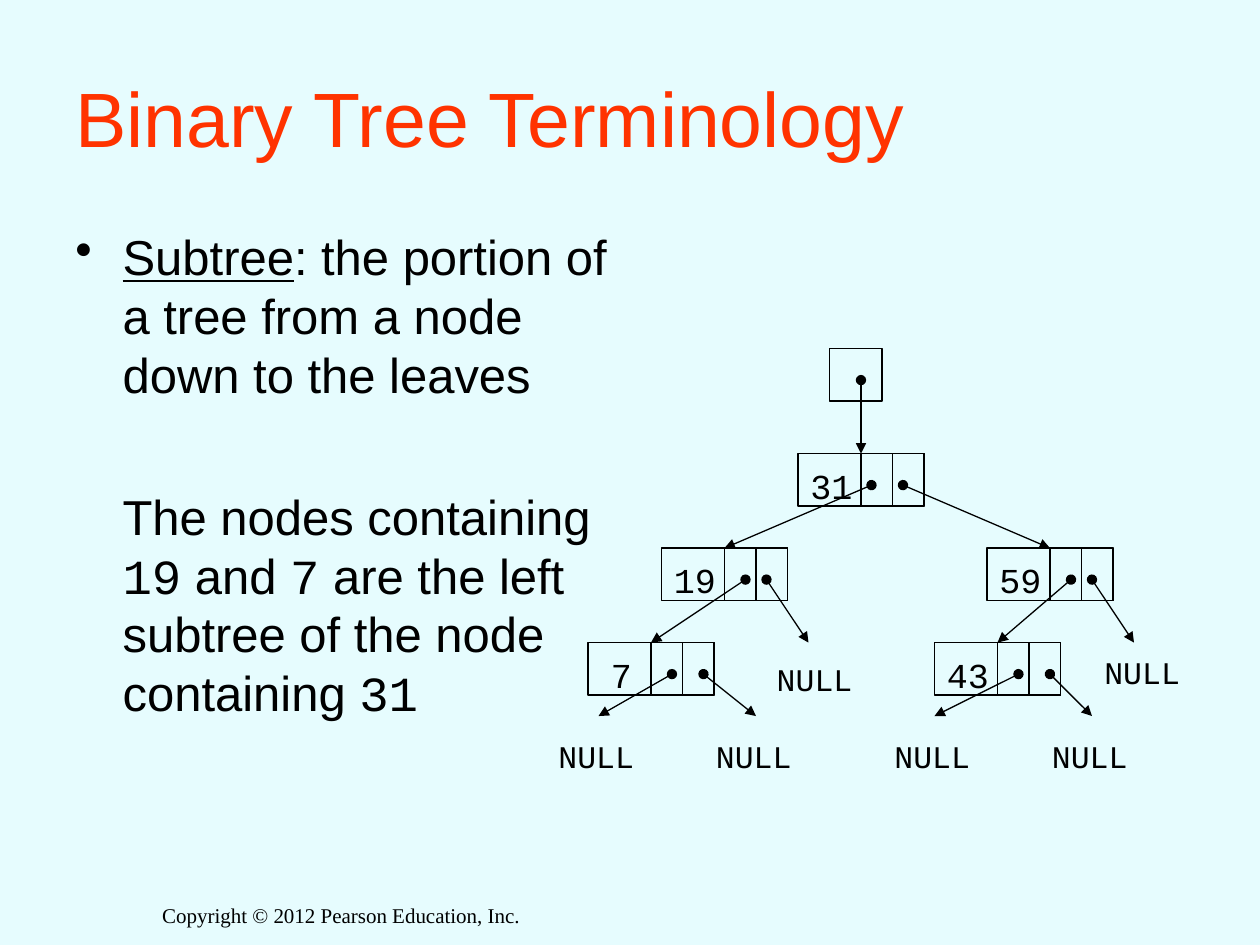
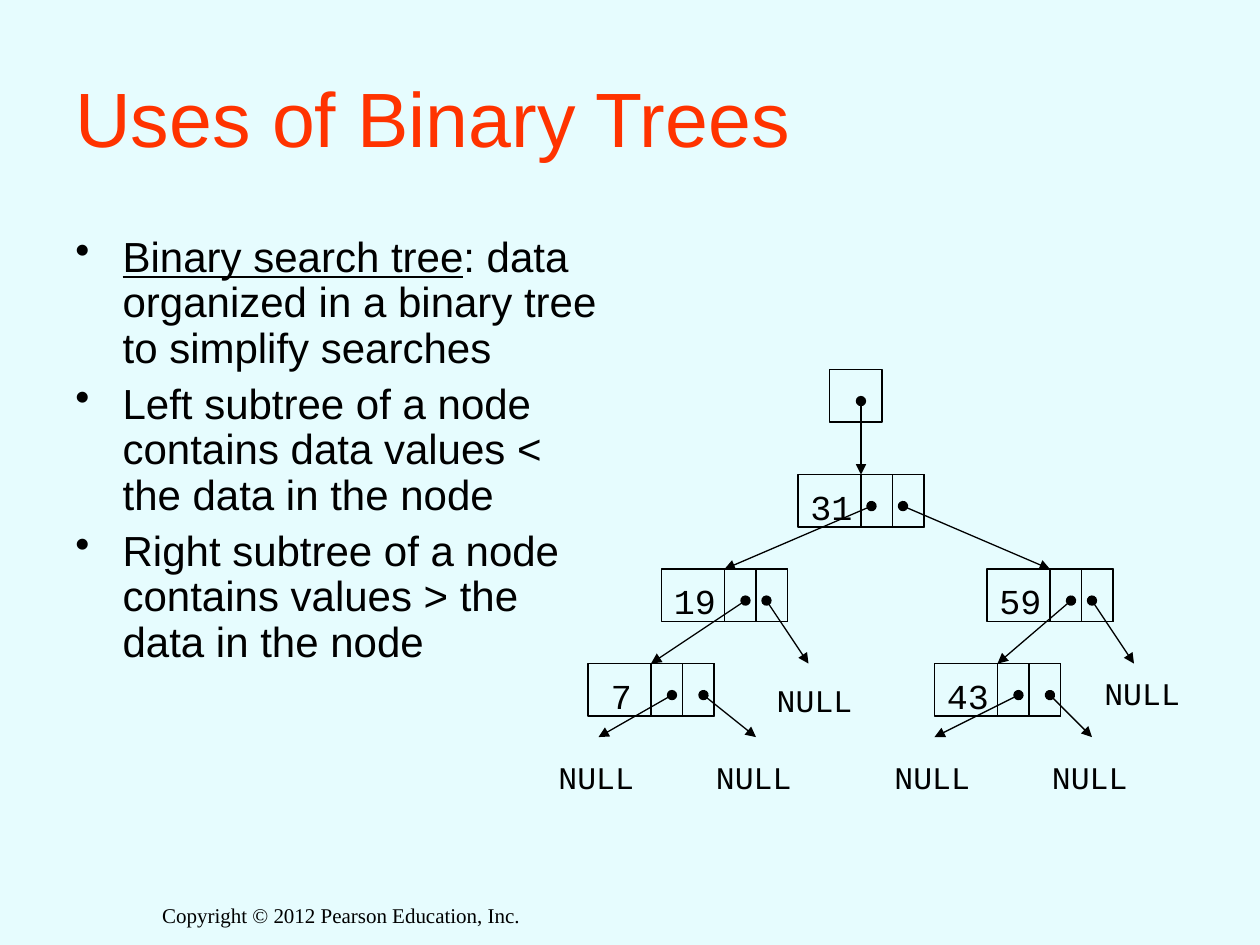
from dataclasses import dataclass

from lxml import etree
from pptx import Presentation
from pptx.dml.color import RGBColor
from pptx.enum.shapes import MSO_CONNECTOR, MSO_SHAPE
from pptx.enum.text import MSO_ANCHOR, PP_ALIGN
from pptx.oxml.ns import qn
from pptx.util import Emu, Pt

RECTANGLE = MSO_SHAPE.RECTANGLE
STRAIGHT = MSO_CONNECTOR.STRAIGHT
TOP, MIDDLE = MSO_ANCHOR.TOP, MSO_ANCHOR.MIDDLE
LEFT, CENTER = PP_ALIGN.LEFT, PP_ALIGN.CENTER

PX_PER_INCH = 120
PX = 914400 // PX_PER_INCH


@dataclass(frozen=True)
class Theme:
    background: RGBColor = RGBColor.from_string("E6FCFE")
    title: RGBColor = RGBColor.from_string("FF3300")
    ink: RGBColor = RGBColor.from_string("000000")
    sans: str = "Arial"
    mono: str = "Courier New"
    serif: str = "Times New Roman"
    title_size: int = 44
    value_size: int = 20
    null_size: int = 18
    footer_size: int = 12
    line_width: float = 0.75
    leading: float = 1.2
    mono_leading: float = 1.33


THEME = Theme()


@dataclass(frozen=True)
class Box:
    left: int
    top: int
    width: int
    height: int


@dataclass(frozen=True)
class Span:
    text: str
    font: str = THEME.sans
    underline: bool = False


@dataclass(frozen=True)
class Paragraph:
    spans: tuple[Span, ...]
    bullet: bool = False
    space_before: float = 0


@dataclass(frozen=True)
class TextStyle:
    size: int
    line_height: float
    color: RGBColor = THEME.ink
    align: PP_ALIGN = LEFT
    anchor: MSO_ANCHOR = TOP
    wrap: bool = True
    indent: int = 0


@dataclass(frozen=True)
class Link:
    start: int
    left: int
    top: int
    null_shift: tuple[int, int] | None = None


@dataclass(frozen=True)
class Node:
    value: str
    left: int
    top: int
    links: tuple[Link, Link]


@dataclass(frozen=True)
class Lesson:
    title: str
    body: Box
    style: TextStyle
    paragraphs: tuple[Paragraph, ...]
    tree_shift: int


TITLE_BOX = Box(60, 36, 1080, 150)
FOOTER_BOX = Box(130, 854, 390, 73)
FOOTER = "Copyright © 2012 Pearson Education, Inc."
BODY_INDENT = 45

TITLE_STYLE = TextStyle(THEME.title_size, THEME.title_size * THEME.leading,
                        color=THEME.title, anchor=MIDDLE)
FOOTER_STYLE = TextStyle(THEME.footer_size, THEME.footer_size * THEME.leading,
                         align=CENTER)
VALUE_STYLE = TextStyle(THEME.value_size, THEME.value_size * THEME.mono_leading,
                        wrap=False)
NULL_STYLE = TextStyle(THEME.null_size, THEME.null_size * THEME.mono_leading,
                       wrap=False)

NODE_WIDTH, NODE_HEIGHT = 120, 50
POINTER_WIDTH = 30
POINTER_OFFSETS = (90, 60)
DOT_DROP = 30
ROOT = Box(790, 332, 50, 50)
ROWS = (432, 522, 612)
LEAF_END = 682
LEAF_NULL = (-50, 10)

NODES = (
    Node("31", 760, ROWS[0], (Link(70, 690, ROWS[1]), Link(100, 1000, ROWS[1]))),
    Node("59", 940, ROWS[1], (Link(80, 950, ROWS[2]),
                              Link(100, 1080, ROWS[2], (-40, 0)))),
    Node("19", 630, ROWS[1], (Link(80, 620, ROWS[2]),
                              Link(100, 770, ROWS[2], (-42, 7)))),
    Node("7", 560, ROWS[2], (Link(80, 570, LEAF_END, LEAF_NULL),
                             Link(110, 720, LEAF_END, LEAF_NULL))),
    Node("43", 890, ROWS[2], (Link(80, 890, LEAF_END, LEAF_NULL),
                              Link(110, 1040, LEAF_END, LEAF_NULL))),
)

LESSONS = (
    Lesson(
        "Binary Tree Terminology",
        Box(60, 210, 545, 540),
        TextStyle(28, 33.6, indent=BODY_INDENT),
        (
            Paragraph((Span("Subtree", underline=True),
                       Span(": the portion of a tree from a node down to the leaves")),
                      bullet=True),
            Paragraph((Span("The nodes containing "), Span("19", THEME.mono),
                       Span(" and "), Span("7", THEME.mono),
                       Span(" are the left subtree of the node containing "),
                       Span("31", THEME.mono)), space_before=47.6),
        ),
        0,
    ),
    Lesson(
        "Uses of Binary Trees",
        Box(60, 218, 530, 522),
        TextStyle(24, 26, indent=BODY_INDENT),
        (
            Paragraph((Span("Binary search tree", underline=True),
                       Span(": data organized in a binary tree to simplify searches")),
                      bullet=True),
            Paragraph((Span("Left subtree of a node contains data values < "
                            "the data in the node"),), bullet=True, space_before=6),
            Paragraph((Span("Right subtree of a node contains values > "
                            "the data in the node"),), bullet=True, space_before=6),
        ),
        20,
    ),
)


def place(box: Box) -> tuple[Emu, ...]:
    return tuple(Emu(length * PX)
                 for length in (box.left, box.top, box.width, box.height))


def set_indent(paragraph, indent: int, bullet: bool) -> None:
    properties = paragraph._p.get_or_add_pPr()
    properties.set("marL", str(indent * PX))
    properties.set("indent", str(-indent * PX if bullet else 0))
    if bullet:
        etree.SubElement(properties, qn("a:buChar")).set("char", "•")


def add_text(shapes, box: Box, paragraphs: tuple[Paragraph, ...],
             style: TextStyle) -> None:
    frame = shapes.add_textbox(*place(box)).text_frame
    frame.word_wrap = style.wrap
    frame.vertical_anchor = style.anchor
    for index, content in enumerate(paragraphs):
        paragraph = frame.add_paragraph() if index else frame.paragraphs[0]
        if style.indent:
            set_indent(paragraph, style.indent, content.bullet)
        paragraph.alignment = style.align
        paragraph.line_spacing = Pt(style.line_height)
        if index:
            paragraph.space_before = Pt(content.space_before)
        for span in content.spans:
            run = paragraph.add_run()
            run.text = span.text
            run.font.name = span.font
            run.font.size = Pt(style.size)
            run.font.color.rgb = style.color
            if span.underline:
                run.font.underline = True


def add_label(shapes, box: Box, text: str, font: str, style: TextStyle) -> None:
    add_text(shapes, box, (Paragraph((Span(text, font),)),), style)


def add_cell(shapes, box: Box) -> None:
    shape = shapes.add_shape(RECTANGLE, *place(box))
    shape.shadow.inherit = False
    shape.fill.background()
    shape.line.color.rgb = THEME.ink
    shape.line.width = Pt(THEME.line_width)


def add_pointer(shapes, start: tuple[int, int], end: tuple[int, int]) -> None:
    connector = shapes.add_connector(
        STRAIGHT, *(Emu(length * PX) for length in start + end))
    connector.line.color.rgb = THEME.ink
    connector.line.width = Pt(THEME.line_width)
    line = connector.line._get_or_add_ln()
    for tag, kind in (("a:headEnd", "oval"), ("a:tailEnd", "triangle")):
        etree.SubElement(line, qn(tag)).set("type", kind)
    etree.SubElement(connector._element.spPr, qn("a:effectLst"))


def add_node(shapes, node: Node, shift: int) -> None:
    top = node.top + shift
    add_cell(shapes, Box(node.left, top, NODE_WIDTH, NODE_HEIGHT))
    for offset in POINTER_OFFSETS:
        add_cell(shapes, Box(node.left + offset, top, POINTER_WIDTH, NODE_HEIGHT))
    width = 20 * len(node.value) + 24
    label_left = node.left + (64 - width) // 2
    add_label(shapes, Box(label_left, top, width, 53), node.value,
              THEME.mono, VALUE_STYLE)


def add_link(shapes, node: Node, link: Link, shift: int) -> None:
    end_top = link.top + shift
    add_pointer(shapes, (node.left + link.start, node.top + DOT_DROP + shift),
                (link.left, end_top))
    if link.null_shift:
        right, down = link.null_shift
        add_label(shapes, Box(link.left + right, end_top + down, 96, 48),
                  "NULL", THEME.mono, NULL_STYLE)


def add_tree(slide, shift: int) -> None:
    shapes = slide.shapes.add_group_shape().shapes
    root_top = ROOT.top + shift
    add_cell(shapes, Box(ROOT.left, root_top, ROOT.width, ROOT.height))
    root_dot = ROOT.left + DOT_DROP
    for node in NODES:
        add_node(shapes, node, shift)
    add_pointer(shapes, (root_dot, root_top + DOT_DROP), (root_dot, ROWS[0] + shift))
    for node in NODES:
        for link in node.links:
            add_link(shapes, node, link, shift)


def add_lesson(presentation, lesson: Lesson) -> None:
    slide = presentation.slides.add_slide(presentation.slide_layouts[6])
    slide.background.fill.solid()
    slide.background.fill.fore_color.rgb = THEME.background
    add_label(slide.shapes, FOOTER_BOX, FOOTER, THEME.serif, FOOTER_STYLE)
    add_label(slide.shapes, TITLE_BOX, lesson.title, THEME.sans, TITLE_STYLE)
    add_text(slide.shapes, lesson.body, lesson.paragraphs, lesson.style)
    add_tree(slide, lesson.tree_shift)


def main() -> None:
    presentation = Presentation()
    presentation.slide_width = Emu(1200 * PX)
    presentation.slide_height = Emu(900 * PX)
    for lesson in LESSONS:
        add_lesson(presentation, lesson)
    presentation.save("out.pptx")


if __name__ == "__main__":
    main()
